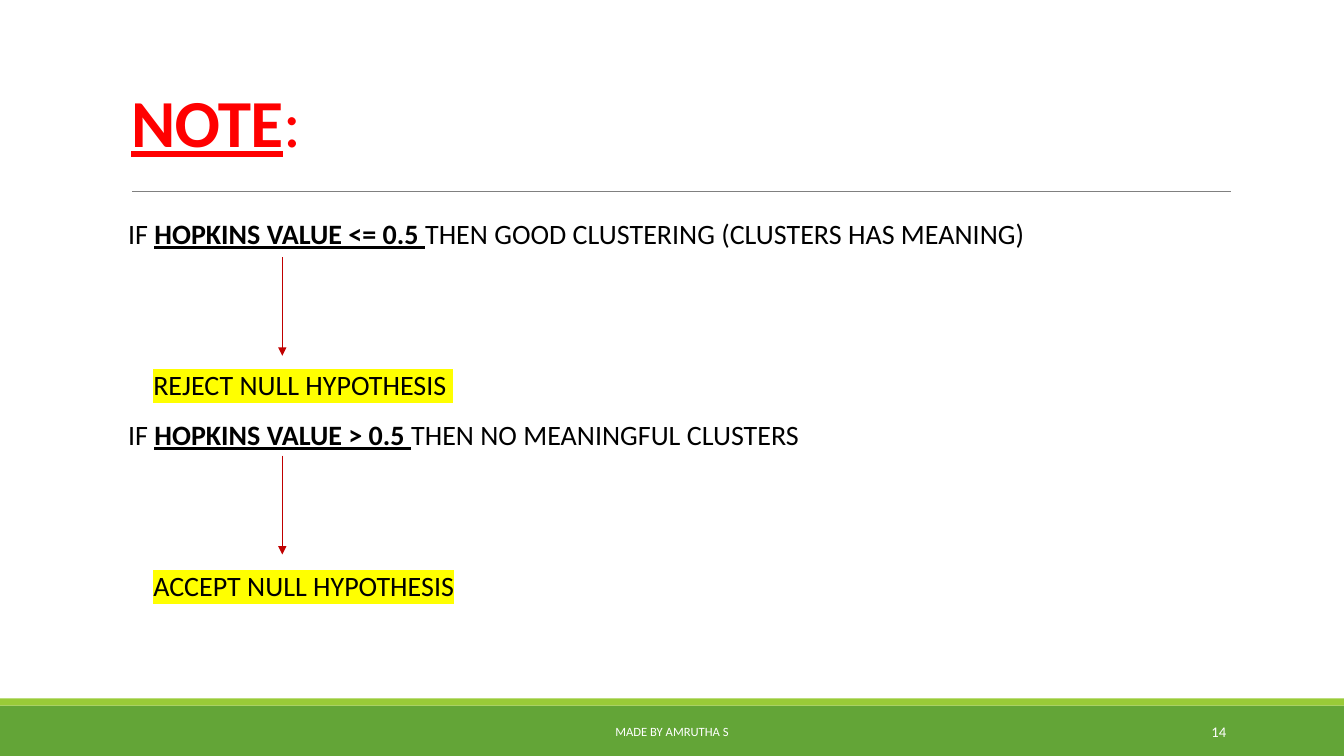
from lxml.etree import SubElement
from pptx import Presentation
from pptx.dml.color import RGBColor
from pptx.enum.shapes import MSO_CONNECTOR, MSO_SHAPE
from pptx.enum.text import MSO_ANCHOR, MSO_AUTO_SIZE, PP_ALIGN
from pptx.oxml import parse_xml
from pptx.oxml.ns import nsdecls, qn
from pptx.util import Inches, Pt

COLORS = {
    "green": "63A537", "lime": "99CB38", "rule": "808080", "title": "FF0000",
    "text": "000000", "arrow": "C00000", "highlight": "FFFF00", "white": "FFFFFF",
}
FONT = "Calibri"
RULES = [
    ("HOPKINS VALUE <= 0.5 ", "THEN GOOD CLUSTERING (CLUSTERS HAS MEANING)",
     "REJECT NULL HYPOTHESIS "),
    ("HOPKINS VALUE > 0.5 ", "THEN NO MEANINGFUL CLUSTERS",
     "ACCEPT NULL HYPOTHESIS"),
]


def rgb(name):
    return RGBColor.from_string(COLORS[name])


def place(sp, x, y, w, h):
    sp.left, sp.top, sp.width, sp.height = (Inches(v) for v in (x, y, w, h))


def style(r, size, color, strong=False):
    r.font.name, r.font.size = FONT, Pt(size)
    r.font.color.rgb = rgb(color)
    r.font.bold = r.font.underline = strong


def add_run(p, text, size, color, strong=False):
    r = p.add_run()
    r.text = text
    style(r, size, color, strong)
    return r


def highlight(r):
    mark = parse_xml(f'<a:highlight {nsdecls("a")}>'
                     f'<a:srgbClr val="{COLORS["highlight"]}"/></a:highlight>')
    r.font._element.find(qn("a:solidFill")).addnext(mark)


def add_line(slide, start, end, color, width, arrow=False):
    line = slide.shapes.add_connector(
        MSO_CONNECTOR.STRAIGHT, *(Inches(v) for v in (*start, *end)))
    line.line.color.rgb, line.line.width = rgb(color), Pt(width)
    if arrow:
        SubElement(line.line._get_or_add_ln(), qn("a:tailEnd"), type="triangle")
    SubElement(line._element.spPr, qn("a:effectLst"))


def add_band(slide, x, y, w, h, color):
    sp = slide.shapes.add_shape(
        MSO_SHAPE.RECTANGLE, *(Inches(v) for v in (x, y, w, h)))
    sp.shadow.inherit = False
    sp.fill.solid()
    sp.fill.fore_color.rgb = rgb(color)
    sp.line.fill.background()


def add_label(slide, x, y, w, h, text, size, align):
    sp = slide.shapes.add_textbox(*(Inches(v) for v in (x, y, w, h)))
    tf = sp.text_frame
    tf.word_wrap, tf.vertical_anchor = True, MSO_ANCHOR.MIDDLE
    p = tf.paragraphs[0]
    p.text, p.alignment = text, align
    style(p.runs[0], size, "white")


def add_footer(slide, x, y, w, h):
    strip = 0.07
    add_band(slide, x, y + strip, w, h - strip, "green")
    add_band(slide, x, y, w, strip, "lime")
    top = y + 0.13
    add_label(slide, x + 10.83, top, 1.43, 0.4, "14", 10.5, PP_ALIGN.RIGHT)
    add_label(slide, x + 4.03, top, 5.27, 0.4, "MADE BY AMRUTHA S", 9, PP_ALIGN.CENTER)


def add_title(slide, x, y, w, h):
    sp = slide.shapes.title
    place(sp, x, y, w, h)
    tf = sp.text_frame
    tf.auto_size, tf.vertical_anchor = MSO_AUTO_SIZE.NONE, MSO_ANCHOR.BOTTOM
    p = tf.paragraphs[0]
    p.alignment, p.line_spacing = PP_ALIGN.LEFT, 0.85
    for text, strong in (("NOTE", True), (":", False)):
        r = add_run(p, text, 48, "title", strong)
        r.font._element.set("spc", "-50")
    rule_y = y + h + 0.25
    add_line(slide, (x + 0.11, rule_y), (x + w + 0.01, rule_y), "rule", 0.5)


def format_paragraph(p, indent, before):
    p.line_spacing, p.space_before, p.space_after = 0.9, Pt(before), Pt(2)
    pPr = p._p.get_or_add_pPr()
    pPr.set("marL", str(Inches(indent)))
    pPr.set("indent", "0")
    SubElement(pPr, qn("a:buNone"))


def add_rules(slide, x, y, w, h):
    sp = slide.placeholders[1]
    place(sp, x, y, w, h)
    tf = sp.text_frame
    tf.auto_size = MSO_AUTO_SIZE.NONE
    tf.margin_left = tf.margin_right = 0
    for i, (condition, meaning, verdict) in enumerate(RULES):
        p = tf.add_paragraph() if i else tf.paragraphs[0]
        format_paragraph(p, 0.1, 12)
        add_run(p, "IF ", 20, "text")
        add_run(p, condition, 20, "text", True)
        add_run(p, meaning, 20, "text")
        p = tf.add_paragraph()
        format_paragraph(p, 0.35, 84)
        highlight(add_run(p, verdict, 20, "text"))
        arrow_x, arrow_y = x + 1.63, y + 0.41 + i * 1.97
        add_line(slide, (arrow_x, arrow_y), (arrow_x, arrow_y + 0.98), "arrow", 1, True)


def main():
    prs = Presentation()
    prs.slide_width, prs.slide_height = Inches(13.33), Inches(7.5)
    slide = prs.slides.add_slide(prs.slide_layouts[1])
    add_footer(slide, 0, 6.93, 13.33, 0.57)
    add_title(slide, 1.2, 0.51, 11, 1.14)
    add_rules(slide, 1.17, 2.14, 11, 4.4)
    prs.save("out.pptx")


if __name__ == "__main__":
    main()
